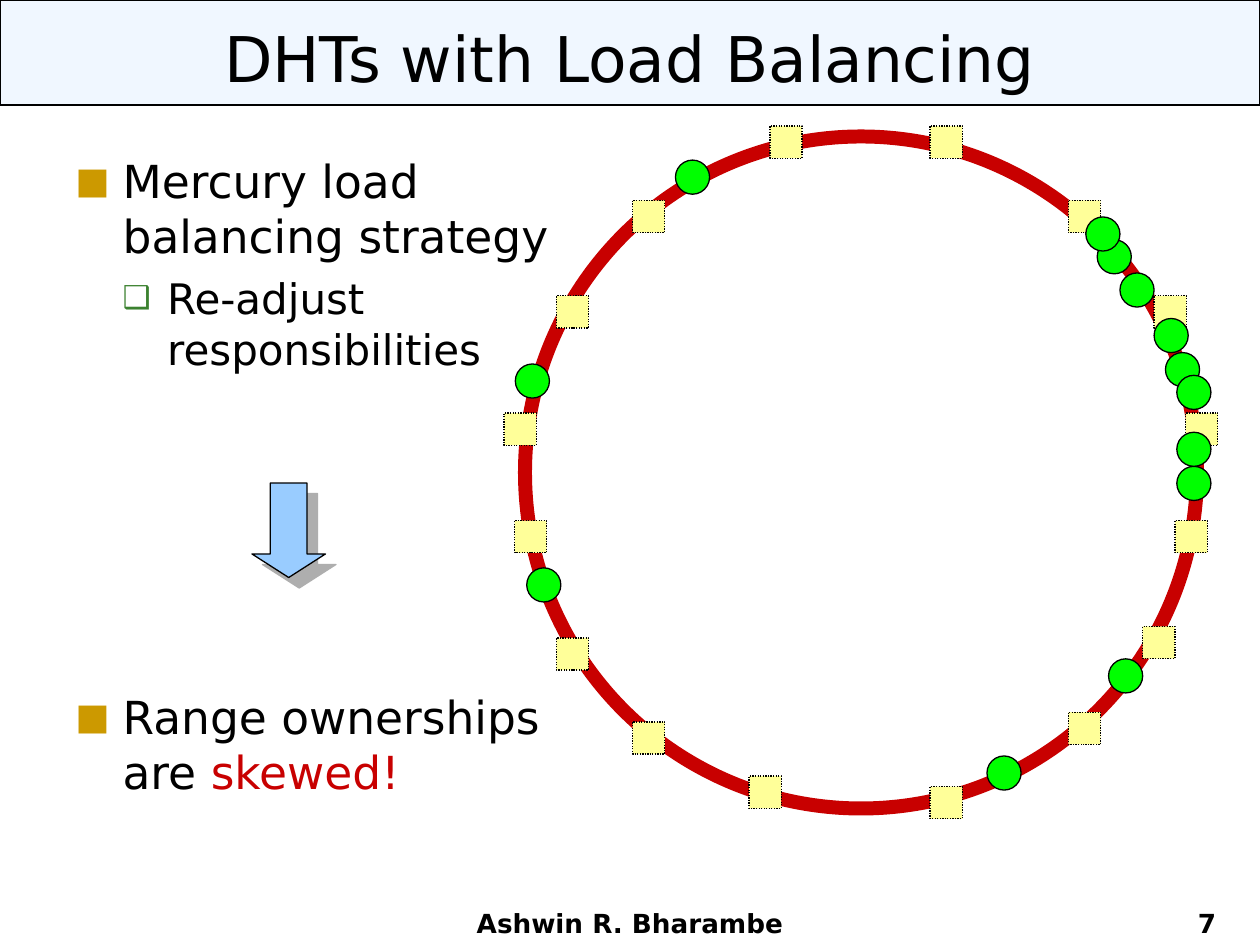
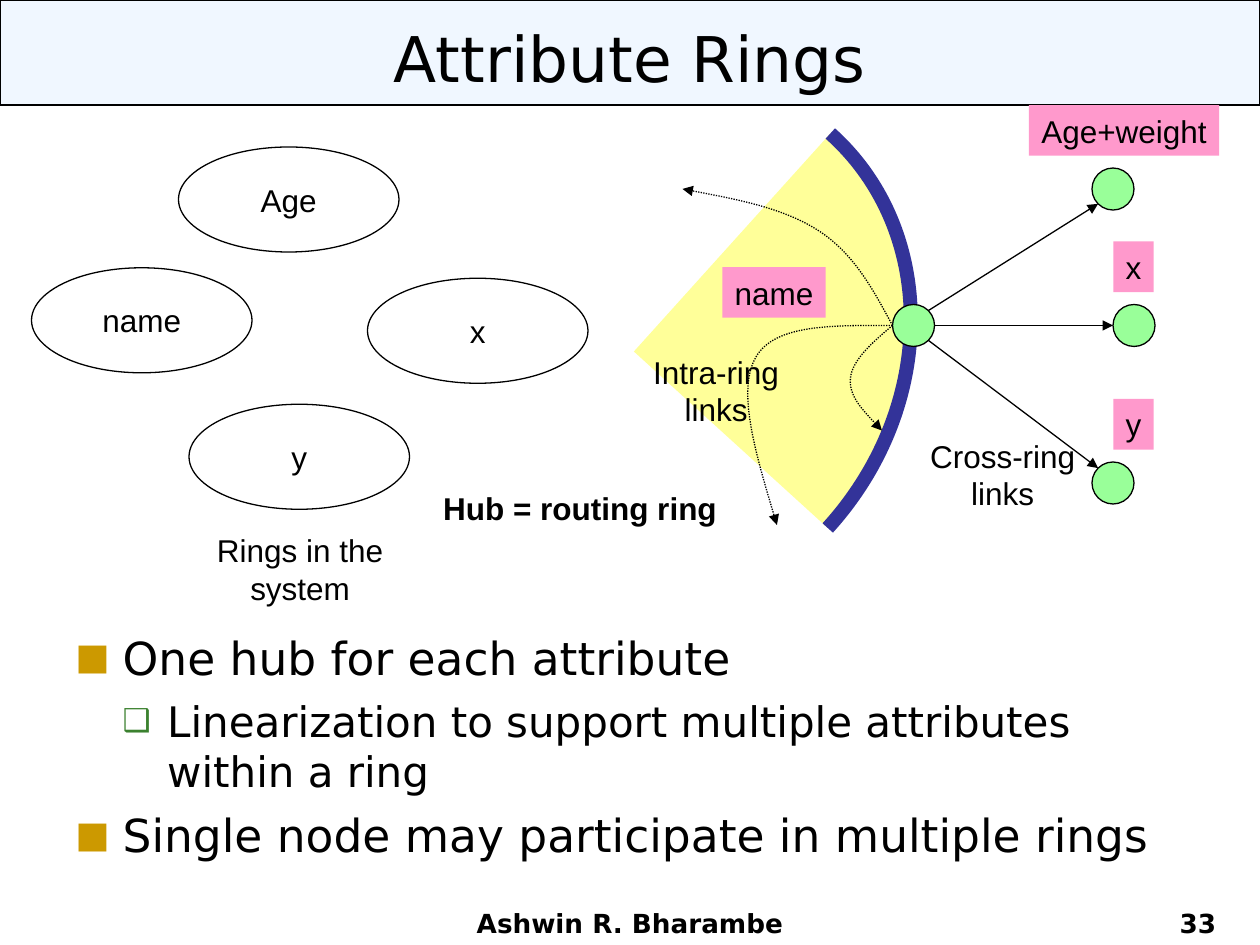
import pptx
import pptx.dml.color
import pptx.enum.dml
import pptx.enum.shapes
import pptx.enum.text
import pptx.oxml
import pptx.oxml.ns
import pptx.util

Pt = pptx.util.Pt
qn = pptx.oxml.ns.qn
SHAPE = pptx.enum.shapes.MSO_SHAPE
ALIGN = pptx.enum.text.PP_ALIGN
ANCHOR = pptx.enum.text.MSO_ANCHOR
DOTTED = pptx.enum.dml.MSO_LINE.ROUND_DOT

COLORS = {
    "black": "000000", "white": "FFFFFF", "band": "F0F7FF", "red": "C80000",
    "gold": "CC9900", "bullet_green": "3B812F", "key": "FFFF99",
    "node": "00FF00", "hub_node": "99FF99", "arrow": "99CCFF",
    "pink": "FF99CC", "arc": "333399", "shadow": "5F5F5F",
}
BODY_FONT = "DejaVu Sans"
LABEL_FONT = "Arial"
AUTHOR = "Ashwin R. Bharambe"
# Bullet levels: size, left margin, hanging indent, space before, character, colour, size %
LEVELS = [
    (26, 27, -27, 6.5, "■", "gold", 80),
    (24, 52.5, -25.5, 6, "❑", "bullet_green", 75),
]

# Top left corners on the ring
KEYS = [
    (361.5, 114.5), (294, 297.5), (440, 72), (610.5, 114.5), (659.5, 169),
    (677.5, 236), (671.5, 297.5), (653, 358), (610.5, 407), (531.5, 72),
    (531.5, 449.5), (318, 169), (288, 236), (428, 443.5), (361.5, 412.5), (318, 364.5),
]
NODES = [
    (386, 91.5), (627, 137), (666, 201.5), (672.5, 266.5), (672.5, 214.5),
    (620.5, 124), (640, 156), (301, 324.5), (672.5, 247), (659.5, 182),
    (294.5, 208), (633.5, 376.5), (564, 432),
]


def rgb(name):
    return pptx.dml.color.RGBColor.from_string(COLORS[name])


def append_xml(parent, xml):
    namespace = "http://schemas.openxmlformats.org/drawingml/2006/main"
    wrapper = pptx.oxml.parse_xml(f'<a:wrapper xmlns:a="{namespace}">{xml}</a:wrapper>')
    parent.append(wrapper[0])


def set_font(paragraph, size, name=BODY_FONT, bold=False):
    font = paragraph.font
    font.size, font.name, font.bold = Pt(size), name, bold
    font.color.rgb = rgb("black")


def style_shape(shape, fill=None, line="black", weight=0.75, dash=None):
    shape.shadow.inherit = False
    if fill:
        shape.fill.solid()
        shape.fill.fore_color.rgb = rgb(fill)
    else:
        shape.fill.background()
    if line:
        shape.line.color.rgb = rgb(line)
        shape.line.width = Pt(weight)
        if dash:
            shape.line.dash_style = dash
    else:
        shape.line.fill.background()


def add_shape(slide, kind, left, top, width, height, **style):
    shape = slide.shapes.add_shape(kind, Pt(left), Pt(top), Pt(width), Pt(height))
    style_shape(shape, **style)
    return shape


def add_arrowhead(line_shape):
    outline = line_shape.element.spPr.find(qn("a:ln"))
    append_xml(outline, '<a:tailEnd type="triangle"/>')


def add_text_box(slide, left, top, width, height):
    box = slide.shapes.add_textbox(Pt(left), Pt(top), Pt(width), Pt(height))
    box.text_frame.word_wrap = True
    return box


def add_footer(slide, text, left, top, width, align):
    frame = add_text_box(slide, left, top, width, 540 - top).text_frame
    frame.vertical_anchor = ANCHOR.BOTTOM
    paragraph = frame.paragraphs[0]
    paragraph.text = text
    paragraph.alignment = align
    set_font(paragraph, 15, bold=True)


def add_slide(presentation, title_text, number):
    slide = presentation.slides.add_slide(presentation.slide_layouts[5])
    title = slide.shapes.title
    band = add_shape(slide, SHAPE.RECTANGLE, 0, 0, 720, 60, fill="band")
    title.element.addprevious(band.element)
    title.left, title.top, title.width, title.height = Pt(36), Pt(6), Pt(648), Pt(54)
    title.text_frame.text = title_text
    title.text_frame.vertical_anchor = ANCHOR.MIDDLE
    paragraph = title.text_frame.paragraphs[0]
    paragraph.alignment = ALIGN.CENTER
    set_font(paragraph, 36)
    add_footer(slide, AUTHOR, 246, 528, 228, ALIGN.CENTER)
    add_footer(slide, str(number), 534, 522, 168, ALIGN.RIGHT)
    return slide


def add_bullets(slide, left, top, width, height, items):
    """Each item is a level and a list of (text, colour) runs."""
    frame = add_text_box(slide, left, top, width, height).text_frame
    for index, (level, runs) in enumerate(items):
        paragraph = frame.add_paragraph() if index else frame.paragraphs[0]
        size, margin, indent, before, character, color, percent = LEVELS[level]
        paragraph.level = level
        properties = paragraph._p.get_or_add_pPr()
        properties.set("marL", str(Pt(margin)))
        properties.set("indent", str(Pt(indent)))
        append_xml(properties, f'<a:buClr><a:srgbClr val="{COLORS[color]}"/></a:buClr>')
        append_xml(properties, f'<a:buSzPct val="{percent * 1000}"/>')
        append_xml(properties, f'<a:buFont typeface="{BODY_FONT}"/>')
        append_xml(properties, f'<a:buChar char="{character}"/>')
        paragraph.space_before = Pt(before)
        set_font(paragraph, size)
        for text, run_color in runs:
            run = paragraph.add_run()
            run.text = text
            if run_color != "black":
                run.font.color.rgb = rgb(run_color)
    return frame


def write_label(shape, text, bold=False):
    frame = shape.text_frame
    frame.text = text
    frame.word_wrap = False
    for paragraph in frame.paragraphs:
        paragraph.alignment = ALIGN.CENTER
        set_font(paragraph, 18, LABEL_FONT, bold)


def add_label(slide, text, left, top, width, height=29, bold=False):
    write_label(add_text_box(slide, left, top, width, height), text, bold)


def add_tag(slide, text, left, top, width):
    tag = add_shape(slide, SHAPE.RECTANGLE, left, top, width, 29, fill="pink", line=None)
    write_label(tag, text)


def add_curve(slide, points, curves, closed=False, **style):
    """Start point, three points for each Bezier curve, then straight corners."""
    start, *others = [(Pt(x), Pt(y)) for x, y in points]
    builder = slide.shapes.build_freeform(*start)
    builder.add_line_segments(others, close=closed)
    shape = builder.convert_to_shape()
    segments = list(shape.element.iter(qn("a:lnTo")))
    for index in range(curves):
        trio = segments[3 * index:3 * index + 3]
        curve = trio[0].makeelement(qn("a:cubicBezTo"), {})
        trio[0].addprevious(curve)
        for segment in trio:
            curve.append(segment[0])
            segment.getparent().remove(segment)
    style_shape(shape, **style)
    return shape


def add_arrow(slide, start, end):
    connector = slide.shapes.add_connector(
        pptx.enum.shapes.MSO_CONNECTOR.STRAIGHT, *[Pt(value) for value in (*start, *end)])
    connector.line.color.rgb = rgb("black")
    connector.line.width = Pt(0.75)
    add_arrowhead(connector)
    append_xml(connector.element.spPr, "<a:effectLst/>")


def build_load_balancing(presentation):
    slide = add_slide(presentation, "DHTs with Load Balancing", 7)
    frame = add_bullets(slide, 36, 84, 324, 399, [
        (0, [("Mercury load balancing strategy", "black")]),
        (1, [("Re-adjust responsibilities", "black")]),
        (0, [("Range ownerships are ", "black"), ("skewed!", "red")]),
    ])
    frame.paragraphs[2].space_before = Pt(180.5)

    # Ring with its keys and nodes
    add_shape(slide, SHAPE.OVAL, 300, 78, 384, 384, line="red", weight=8)
    for left, top in KEYS:
        add_shape(slide, SHAPE.RECTANGLE, left, top, 18.4, 18.4, fill="key", dash=DOTTED)
    for left, top in NODES:
        add_shape(slide, SHAPE.OVAL, left, top, 19.5, 19.5, fill="node")

    # Shadowed arrow between the two points
    arrow = add_shape(slide, SHAPE.DOWN_ARROW, 144, 276, 42, 54, fill="arrow")
    arrow.adjustments[1] = 0.32
    effects = arrow.element.spPr.find(qn("a:effectLst"))
    append_xml(effects, f'<a:outerShdw dist="{Pt(8.5)}" dir="2700000">'
                        f'<a:srgbClr val="{COLORS["shadow"]}"><a:alpha val="50000"/>'
                        '</a:srgbClr></a:outerShdw>')


def build_attribute_rings(presentation):
    slide = add_slide(presentation, "Attribute Rings", 33)
    add_bullets(slide, 36, 356.5, 648, 142, [
        (0, [("One hub for each attribute", "black")]),
        (1, [("Linearization to support multiple attributes within a ring", "black")]),
        (0, [("Single node may participate in multiple rings", "black")]),
    ])

    # Rings in the system
    for text, left, top in [("name", 18, 153), ("x", 210, 159), ("Age", 102, 84), ("y", 108, 231)]:
        ring = add_shape(slide, SHAPE.OVAL, left, top, 126, 60, fill="white")
        ring.text_frame.vertical_anchor = ANCHOR.MIDDLE
        write_label(ring, text)
    add_label(slide, "Rings in the system", 86, 300, 171)

    # Sector of the name ring
    arc = [(474.5, 76.3), (536.4, 131.8), (535.7, 232.6), (473, 301.7)]
    add_curve(slide, arc + [(362.2, 200.9)], 1, closed=True, fill="key", line=None)
    add_curve(slide, arc, 1, line="arc", weight=8)
    add_shape(slide, SHAPE.OVAL, 510, 174, 24, 24, fill="hub_node")

    # Intra-ring links
    hub = (510, 186)
    for points in [
        [(498, 196), (487, 206), (486, 216), (485, 226), (494.5, 236), (504, 246)],
        [(476.5, 186), (443, 185), (432, 204), (421, 223), (432.5, 261.5), (444, 300)],
        [(499, 165.5), (488, 145), (468, 132), (448, 119), (419, 113.5), (390, 108)],
    ]:
        add_arrowhead(add_curve(slide, [hub] + points, 2, dash=DOTTED))
    add_tag(slide, "name", 412.8, 152.6, 59)

    # Cross-ring links: node corner, arrow ends, tag
    for node, start, end, tag in [
        ((624, 96), (530.5, 177.5), (627.5, 116.5), ("Age+weight", 588, 60, 108.7)),
        ((636, 174), (534, 186), (636, 186), ("x", 636.2, 138, 23)),
        ((624, 264), (530.5, 194.5), (627.5, 267.5), ("y", 636.2, 228, 23)),
    ]:
        add_shape(slide, SHAPE.OVAL, *node, 24, 24, fill="hub_node")
        add_arrow(slide, start, end)
        add_tag(slide, *tag)

    add_label(slide, "Cross-ring\nlinks", 522, 246, 102, 50.5)
    add_label(slide, "Intra-ring\nlinks", 366, 198, 86.4, 50.5)
    add_label(slide, "Hub = routing ring", 246, 276, 171, bold=True)


def main():
    presentation = pptx.Presentation()
    presentation.slide_width, presentation.slide_height = Pt(720), Pt(540)
    build_load_balancing(presentation)
    build_attribute_rings(presentation)
    presentation.save("out.pptx")


if __name__ == "__main__":
    main()
